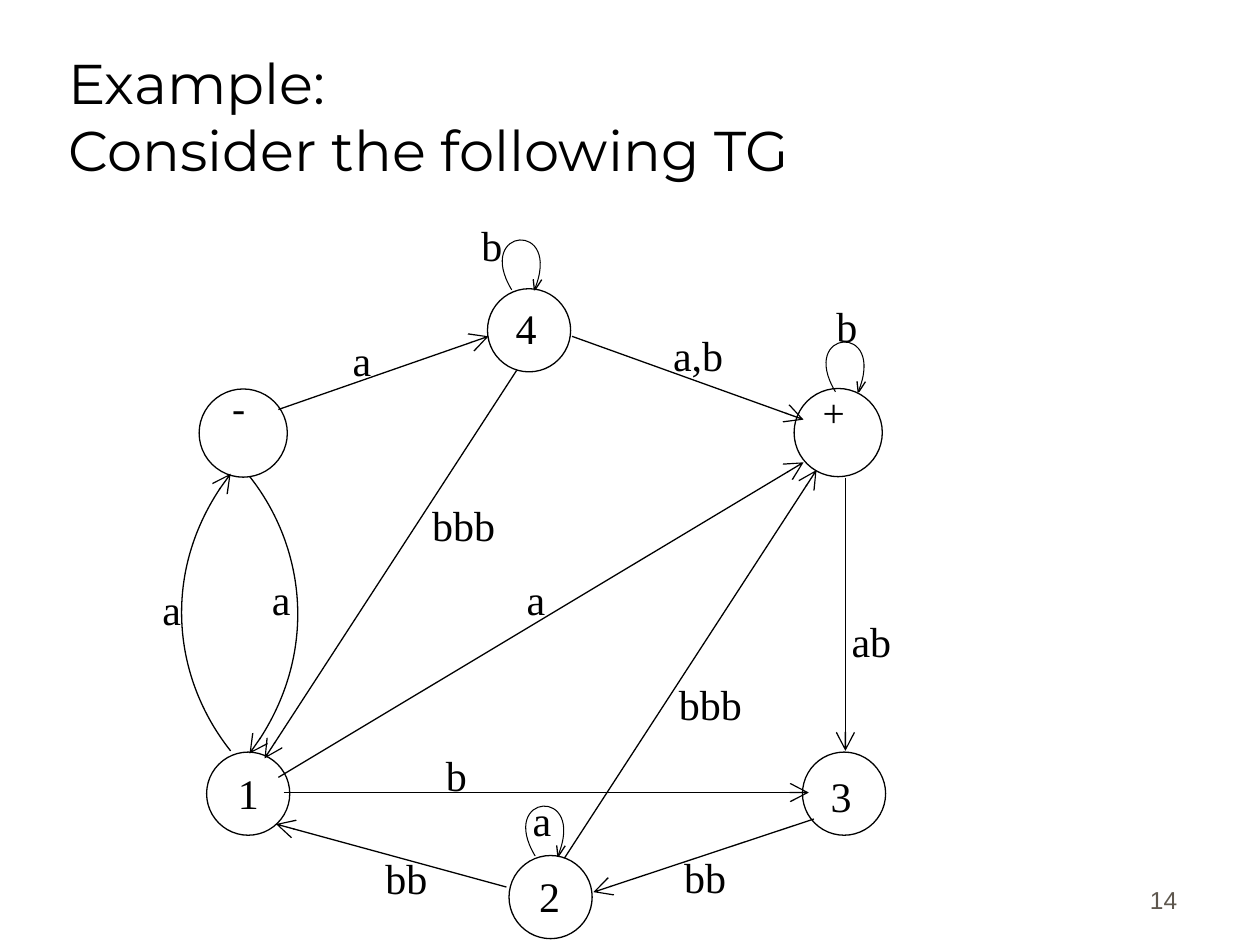
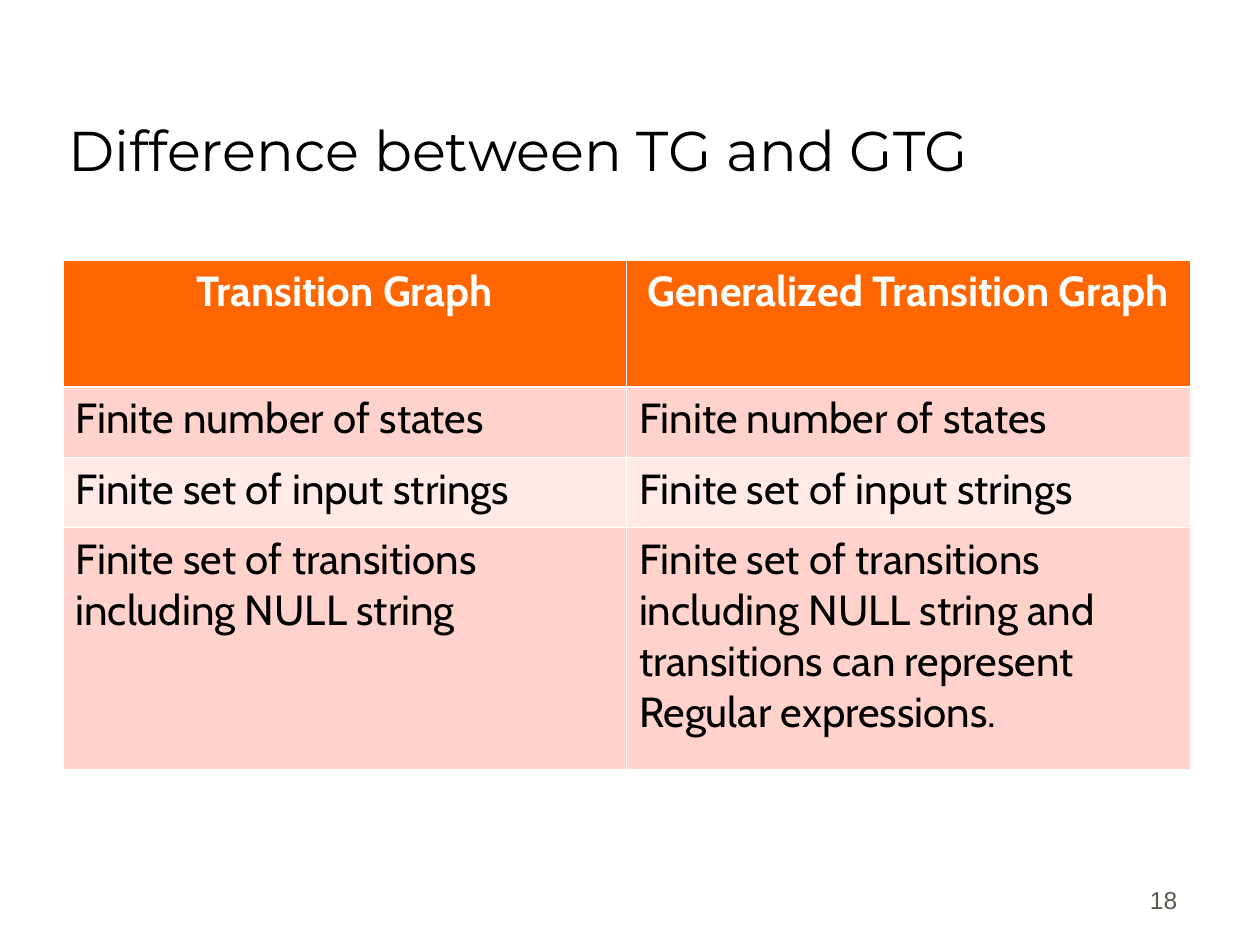
from lxml.etree import SubElement
from pptx import Presentation
from pptx.dml.color import RGBColor
from pptx.enum.shapes import MSO_CONNECTOR, MSO_SHAPE
from pptx.enum.text import MSO_ANCHOR, MSO_AUTO_SIZE, PP_ALIGN
from pptx.oxml.ns import qn
from pptx.util import Pt

BLACK = RGBColor(0x00, 0x00, 0x00)
WHITE = RGBColor(0xFF, 0xFF, 0xFF)
GREY = RGBColor(0x5E, 0x57, 0x4E)
ORANGE = RGBColor(0xFF, 0x66, 0x00)
ROSE = RGBColor(0xFF, 0xD3, 0xCB)
PALE_ROSE = RGBColor(0xFF, 0xEA, 0xE7)

TITLE_FONT = "Montserrat"
TABLE_FONT = "Cabin"
GRAPH_FONT = "Times New Roman"
NUMBER_FONT = "Arial"

TITLE_ONLY = 5
LINE_WIDTH = 0.75
LOOP_WIDTH = 0.6
LABEL_SIZE = (78.5, 37.4)

# left, top, diameter
STATES = [
    (118.1, 429.8, 47.5),
    (113.8, 222.3, 50.4),
    (458.6, 429.8, 47.5),
    (453.8, 222, 50.4),
    (290.9, 488.9, 47.5),
    (278.6, 165, 47.5),
]

# start x, start y, end x, end y
STRAIGHT_TRANSITIONS = [
    (159.1, 234, 279.2, 192.2),
    (326.9, 192.2, 459.2, 239.8),
    (162, 452.9, 462.2, 452.9),
    (465.1, 468, 339.1, 509.8),
    (289.4, 506.9, 157.7, 470.9),
    (159.1, 444.2, 459.2, 264.2),
    (483.1, 272.9, 483.1, 429.1),
    (295.2, 211.7, 151.2, 433.4),
    (322.6, 490.3, 466.6, 268.6),
]

# start, two control points, end
CURVED_TRANSITIONS = [
    [(131.8, 429.1), (99.2, 388.1), (91.4, 322.6), (131.8, 270.7)],
    [(142.6, 272.2), (174.5, 312.5), (182.5, 378), (142.6, 430.6)],
]

LOOP_STARTS = [(477.4, 223.9), (292.4, 165.6), (305.8, 489.1)]
LOOP_OFFSETS = [(0, 0), (-21.6, -35.8), (29.5, -40.1), (13, 0)]
BARB_OFFSETS = [[(13.4, 0), (17.2, -5.8)], [(12.3, -6), (13, 0.4)]]

# text, left, top
TRANSITION_LABELS = [
    ("b", 247.7, 424.8), ("bb", 213.1, 483.3), ("bbb", 380.9, 384),
    ("ab", 479.5, 348), ("bb", 383.8, 483.1), ("b", 470.9, 168),
    ("b", 268, 121.7), ("a", 194.4, 187.4), ("a,b", 377.5, 184.5),
    ("bbb", 239.8, 282), ("a", 85.7, 329.8), ("a", 148.3, 324),
    ("a", 293.8, 324), ("a", 297.2, 450.2),
]
STATE_NUMBERS = [
    ("1", 128.9, 435.1), ("2", 301, 493.9),
    ("3", 467.5, 436.5), ("4", 287.5, 169.4),
]
STATE_SIGNS = [("-", 125.5, 220.3), ("+", 463, 223.2)]

ROW_HEIGHTS = [72.6, 40.2, 40.2, 138.3]
ROW_FILLS = [ORANGE, ROSE, PALE_ROSE, ROSE]
COMPARISON = [
    ("Transition Graph", "Generalized Transition Graph"),
    ("Finite number of states", "Finite number of states"),
    ("Finite set of input strings", "Finite set of input strings"),
    ("Finite set of transitions including NULL string",
     "Finite set of transitions including NULL string and transitions "
     "can represent Regular expressions."),
]


def write(frame, text, font, size, color=BLACK, bold=False,
          align=PP_ALIGN.LEFT, spacing=None, before=0):
    """Fill a text frame with one paragraph; newlines become line breaks."""
    para = frame.paragraphs[0]
    para.alignment = align
    para.space_before = Pt(before)
    if spacing:
        para.line_spacing = spacing
    for index, line in enumerate(text.splitlines()):
        if index:
            para.add_line_break()
        span = para.add_run()
        span.text = line
        span.font.name = font
        span.font.size = Pt(size)
        span.font.bold = bold
        span.font.color.rgb = color


def add_text(page, text, left, top, width, height,
             anchor=MSO_ANCHOR.TOP, **text_format):
    box = page.shapes.add_textbox(Pt(left), Pt(top), Pt(width), Pt(height))
    box.text_frame.word_wrap = True
    box.text_frame.vertical_anchor = anchor
    write(box.text_frame, text, **text_format)


def add_page(deck, title, number):
    page = deck.slides.add_slide(deck.slide_layouts[TITLE_ONLY])
    heading = page.shapes.title
    heading.left, heading.top = Pt(31.8), Pt(18)
    heading.width, heading.height = Pt(612), Pt(90)
    frame = heading.text_frame
    frame.auto_size = MSO_AUTO_SIZE.NONE
    frame.vertical_anchor = MSO_ANCHOR.BOTTOM
    write(frame, title, font=TITLE_FONT, size=32)
    add_text(page, number, 530, 490.3, 149.8, 36, anchor=MSO_ANCHOR.BOTTOM,
             font=NUMBER_FONT, size=14, color=GREY,
             align=PP_ALIGN.RIGHT, before=8.8)
    return page


def draw_line(shape, width=LINE_WIDTH, arrow=False):
    shape.line.color.rgb = BLACK
    shape.line.width = Pt(width)
    if arrow:
        outline = shape.element.spPr.find(qn("a:ln"))
        SubElement(outline, qn("a:tailEnd"), type="arrow", w="lg", len="lg")


def add_state(page, left, top, diameter):
    circle = page.shapes.add_shape(
        MSO_SHAPE.OVAL, Pt(left), Pt(top), Pt(diameter), Pt(diameter))
    circle.shadow.inherit = False
    circle.fill.solid()
    circle.fill.fore_color.rgb = WHITE
    draw_line(circle)


def add_arrow(page, *ends):
    arrow = page.shapes.add_connector(
        MSO_CONNECTOR.STRAIGHT, *[Pt(end) for end in ends])
    draw_line(arrow, arrow=True)
    SubElement(arrow.element.spPr, qn("a:effectLst"))


def add_path(page, points, **line_format):
    """Draw an open, unfilled line through the points."""
    start, *others = [(Pt(x), Pt(y)) for x, y in points]
    builder = page.shapes.build_freeform(*start)
    builder.add_line_segments(others, close=False)
    path = builder.convert_to_shape()
    path.shadow.inherit = False
    path.fill.background()
    draw_line(path, **line_format)
    return path


def add_curve(page, controls, **line_format):
    """Draw one cubic curve: its three line segments become one Bézier segment."""
    curve = add_path(page, controls, **line_format)
    outline = next(curve.element.iter(qn("a:path")))
    segments = outline.findall(qn("a:lnTo"))
    bezier = SubElement(outline, qn("a:cubicBezTo"))
    for segment in segments:
        bezier.append(segment[0])
        outline.remove(segment)


def shift(offsets, origin):
    return [(origin[0] + dx, origin[1] + dy) for dx, dy in offsets]


def add_loop(page, start):
    add_curve(page, shift(LOOP_OFFSETS, start), width=LOOP_WIDTH)
    for barb in BARB_OFFSETS:
        add_path(page, shift(barb, start))


def set_border(cell, side, width):
    properties = cell._tc.get_or_add_tcPr()
    border = SubElement(properties, qn(f"a:ln{side}"), w=str(Pt(width)))
    fill = SubElement(border, qn("a:solidFill"))
    SubElement(fill, qn("a:srgbClr"), val=str(WHITE))


def add_comparison(page):
    table = page.shapes.add_table(
        len(COMPARISON), 2, Pt(36), Pt(148.6), Pt(644), Pt(sum(ROW_HEIGHTS))).table
    for row, texts in enumerate(COMPARISON):
        table.rows[row].height = Pt(ROW_HEIGHTS[row])
        header = row == 0
        widths = {"L": 0.45, "R": 0.45,
                  "T": 1.47 if row == 1 else 0.45,
                  "B": 1.47 if header else 0.45}
        for column, text in enumerate(texts):
            cell = table.cell(row, column)
            for side, width in widths.items():
                set_border(cell, side, width)
            cell.fill.solid()
            cell.fill.fore_color.rgb = ROW_FILLS[row]
            write(cell.text_frame, text, font=TABLE_FONT, size=24, bold=header,
                  color=WHITE if header else BLACK,
                  align=PP_ALIGN.CENTER if header else PP_ALIGN.LEFT)


def add_graph(page):
    for state in STATES:
        add_state(page, *state)
    for ends in STRAIGHT_TRANSITIONS:
        add_arrow(page, *ends)
    for controls in CURVED_TRANSITIONS:
        add_curve(page, controls, arrow=True)
    for start in LOOP_STARTS:
        add_loop(page, start)
    for label in TRANSITION_LABELS + STATE_NUMBERS:
        add_text(page, *label, *LABEL_SIZE, font=GRAPH_FONT, size=24)
    for sign in STATE_SIGNS:
        add_text(page, *sign, *LABEL_SIZE, font=GRAPH_FONT, size=22.5, spacing=0.8)


def main():
    deck = Presentation()
    deck.slide_width, deck.slide_height = Pt(720), Pt(540)
    add_graph(add_page(deck, "Example:\nConsider the following TG", "14"))
    add_comparison(add_page(deck, "Difference between TG and GTG", "18"))
    deck.save("out.pptx")


if __name__ == "__main__":
    main()
